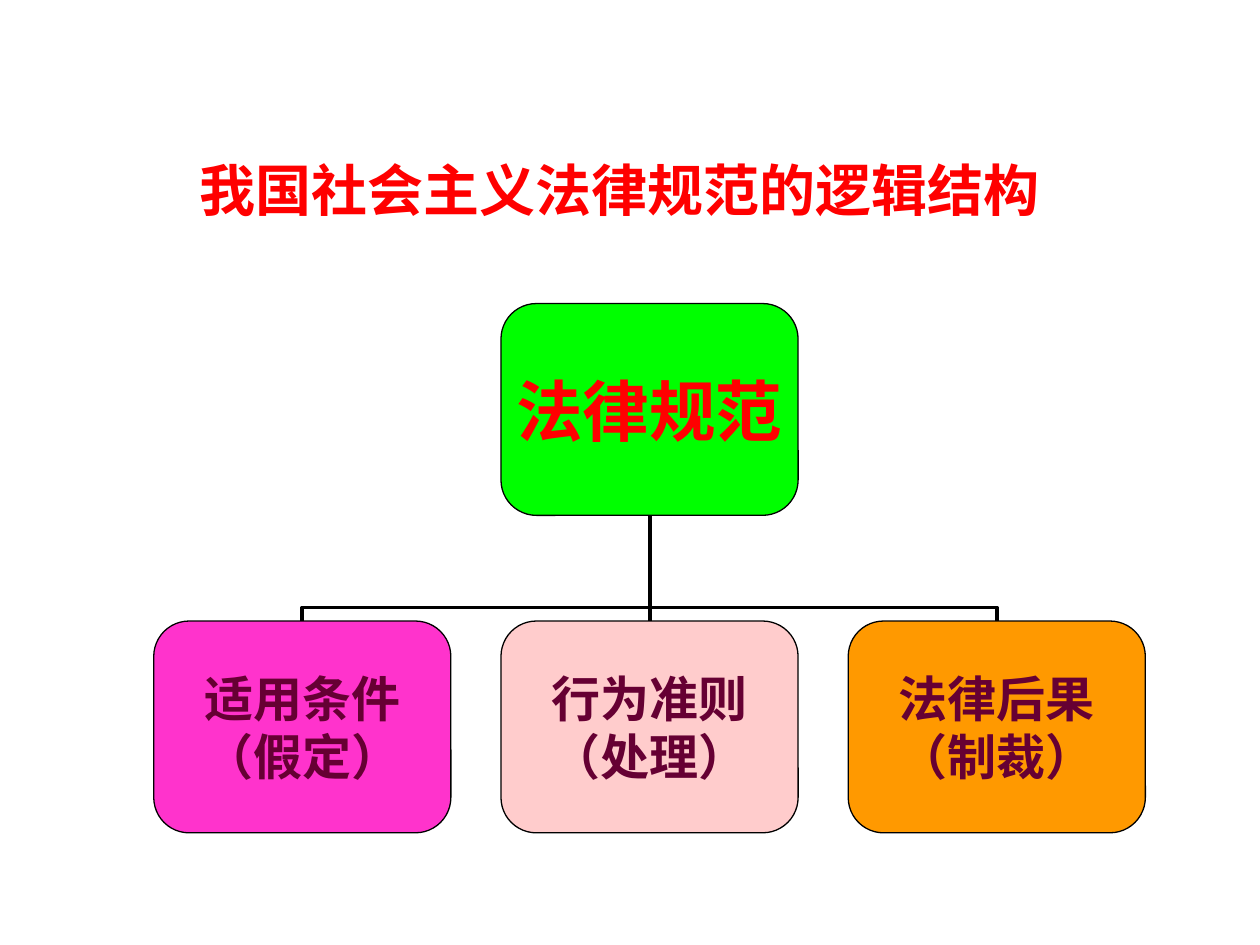
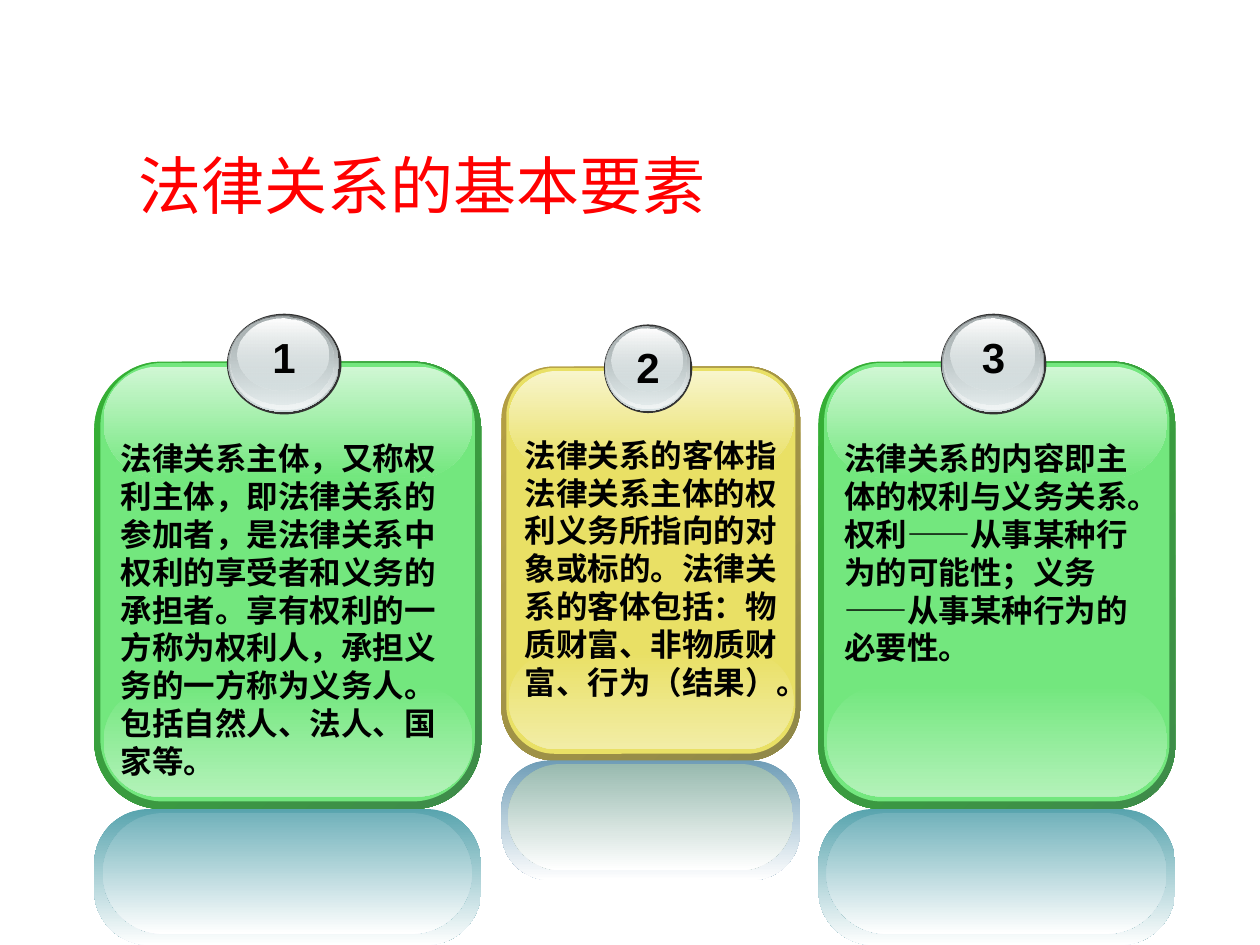
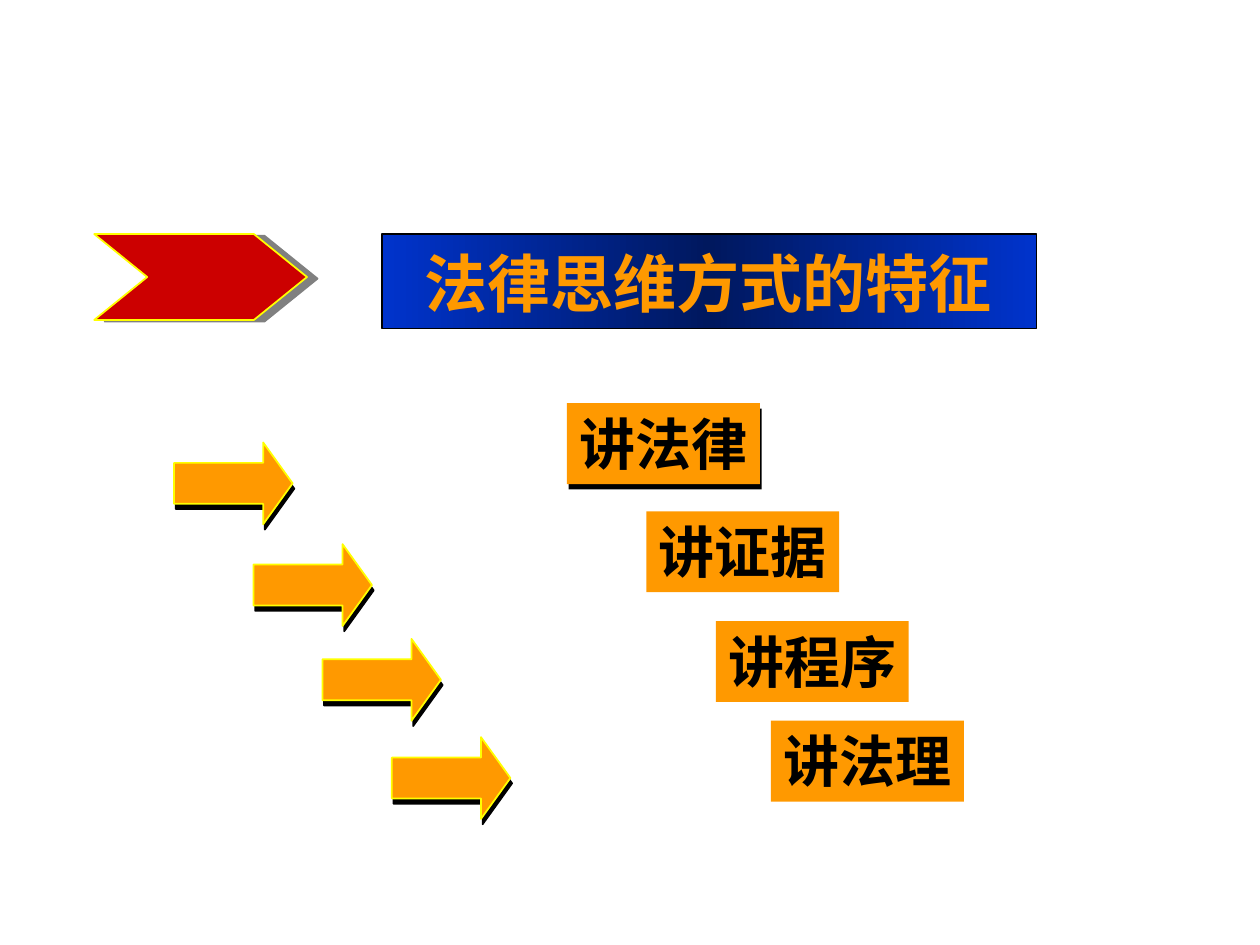
import pptx
import pptx.util
import pptx.oxml
import pptx.oxml.ns
import pptx.dml.color
import pptx.enum.shapes
import pptx.enum.text
from lxml import etree

Cm, Pt = pptx.util.Cm, pptx.util.Pt
RGB = pptx.dml.color.RGBColor
SHAPE = pptx.enum.shapes.MSO_SHAPE
CONNECTOR = pptx.enum.shapes.MSO_CONNECTOR
ALIGN = pptx.enum.text.PP_ALIGN
ANCHOR = pptx.enum.text.MSO_ANCHOR
qn = pptx.oxml.ns.qn

BLACK = RGB(0x00, 0x00, 0x00)
WHITE = RGB(0xFF, 0xFF, 0xFF)
RED = RGB(0xFF, 0x00, 0x00)
DARK_RED = RGB(0xCC, 0x00, 0x00)
ORANGE = RGB(0xFF, 0x99, 0x00)
YELLOW = RGB(0xFF, 0xFF, 0x00)
LIME = RGB(0x00, 0xFF, 0x00)
MAGENTA = RGB(0xFF, 0x33, 0xCC)
PINK = RGB(0xFF, 0xCC, 0xCC)
PLUM = RGB(0x66, 0x00, 0x33)
GRAY = RGB(0x80, 0x80, 0x80)
BLUE = RGB(0x00, 0x33, 0xCC)
NAVY = RGB(0x00, 0x18, 0x5E)
CHARCOAL = RGB(0x33, 0x33, 0x33)
STEEL = RGB(0x63, 0x68, 0x69)
SILVER = RGB(0xD6, 0xE1, 0xE2)
MIST = RGB(0xF1, 0xF5, 0xF5)
ASH = RGB(0xAA, 0xB2, 0xB3)

GREEN_CARD = {
    "edge": (RGB(0x34, 0xB0, 0x34), RGB(0x3F, 0x8B, 0x4A)),
    "face": RGB(0x73, 0xE7, 0x7E),
    "low": RGB(0xB3, 0xF2, 0xB9),
    "high": RGB(0xD0, 0xF7, 0xD4),
    "mirror": (RGB(0x58, 0xA4, 0xAE), RGB(0x72, 0xB2, 0xBB)),
}
GOLD_CARD = {
    "edge": (RGB(0xB5, 0x9F, 0x43), RGB(0x8F, 0x88, 0x49)),
    "face": RGB(0xE9, 0xE0, 0x65),
    "low": RGB(0xF2, 0xED, 0xA6),
    "high": RGB(0xF8, 0xF5, 0xCC),
    "mirror": (RGB(0x6F, 0x9D, 0xB7), RGB(0x98, 0xBA, 0xAF)),
}

NORM_TITLE = "我国社会主义法律规范的逻辑结构"
NORM_ROOT = "法律规范"
NORM_PARTS = [
    ("适用条件\n（假定）", MAGENTA),
    ("行为准则\n（处理）", PINK),
    ("法律后果\n（制裁）", ORANGE),
]

RELATION_TITLE = "法律关系的基本要素"
RELATION_CARDS = [
    ((1.9, 7.29, 7.8, 9.02), GREEN_CARD,
     "法律关系主体，又称权利主体，即法律关系的参加者，是法律关系中权利的享受者和义务的承担者。"
     "享有权利的一方称为权利人，承担义务的一方称为义务人。包括自然人、法人、国家等。"),
    ((10.11, 7.39, 6.02, 7.94), GOLD_CARD,
     "法律关系的客体指法律关系主体的权利义务所指向的对象或标的。"
     "法律关系的客体包括：物质财富、非物质财富、行为（结果）。"),
    ((16.5, 7.29, 7.19, 9.02), GREEN_CARD,
     "法律关系的内容即主体的权利与义务关系。"
     "权利——从事某种行为的可能性；义务——从事某种行为的必要性。"),
]

THINKING_TITLE = "法律思维方式的特征"
THINKING_STEPS = [
    ("讲法律", (3.51, 8.92), (11.43, 8.13)),
    ("讲证据", (5.11, 10.97), (13.03, 10.31)),
    ("讲程序", (6.5, 12.88), (14.43, 12.52)),
    ("讲法理", (7.9, 14.86), (15.54, 14.53)),
]

BALL = (34.3, -10.7, 29.6, 22.5)
BALL_LAYERS = [
    ((0, 0, 100, 100), CHARCOAL),
    ((1.1, 1.2, 96.8, 96.2), [(STEEL, 100), (SILVER, 100)]),
    ((2.2, 1.2, 94.5, 93.7), [(SILVER, 0), (MIST, 100)]),
    ((3.3, 2.5, 90, 87.5), [(ASH, 100), (SILVER, 48)]),
    ((8.8, 5, 80, 71), [(WHITE, 100), (SILVER, 38)]),
]


def within(box, percent):
    x, y, w, h = box
    px, py, pw, ph = percent
    return x + w * px / 100, y + h * py / 100, w * pw / 100, h * ph / 100


def write(tf, text, size, colour, font="Arial", bold=True, align=ALIGN.CENTER):
    tf.text = text
    for p in tf.paragraphs:
        p.alignment = align
        p.font.size = Pt(size)
        p.font.name = font
        p.font.bold = bold
        p.font.color.rgb = colour


def paint_gradient(sp, stops, angle):
    sp.fill.gradient()
    sp.fill.gradient_angle = (360 - angle) % 360
    gs_list = sp._element.spPr.find(".//" + qn("a:gsLst"))
    for gs in list(gs_list):
        gs_list.remove(gs)
    for i, (colour, opacity) in enumerate(stops):
        gs = etree.SubElement(gs_list, qn("a:gs"), pos=str(i * 100000 // (len(stops) - 1)))
        clr = etree.SubElement(gs, qn("a:srgbClr"), val=str(colour))
        if opacity < 100:
            etree.SubElement(clr, qn("a:alpha"), val=str(opacity * 1000))


def draw(s, kind, box, fill, line=None, width=0.75, adjust=None, angle=90):
    sp = s.shapes.add_shape(kind, *map(Cm, box))
    sp.shadow.inherit = False
    if isinstance(fill, list):
        paint_gradient(sp, fill, angle)
    else:
        sp.fill.solid()
        sp.fill.fore_color.rgb = fill
    if line is None:
        sp.line.fill.background()
    else:
        sp.line.color.rgb = line
        sp.line.width = Pt(width)
    if adjust is not None:
        sp.adjustments[0] = adjust / 100
    return sp


def drop_shadow(sp, colour, distance, direction):
    effects = sp._element.spPr.find(qn("a:effectLst"))
    shadow = etree.SubElement(effects, qn("a:outerShdw"), blurRad="0", dist=str(Pt(distance)),
                              dir=str(direction * 60000), algn="ctr", rotWithShape="0")
    etree.SubElement(shadow, qn("a:srgbClr"), val=str(colour))


def add_text(s, box, text, size, wrap, align):
    tf = s.shapes.add_textbox(*map(Cm, box)).text_frame
    tf.word_wrap = wrap
    write(tf, text, size, BLACK, align=align)


def titled_slide(prs, text, box, size, colour, bold=True, align=ALIGN.CENTER):
    s = prs.slides.add_slide(prs.slide_layouts[5])
    title = s.shapes.title
    title.left, title.top, title.width, title.height = map(Cm, box)
    tf = title.text_frame
    tf.auto_size = pptx.enum.text.MSO_AUTO_SIZE.NONE
    tf.vertical_anchor = ANCHOR.MIDDLE
    write(tf, text, size, colour, bold=bold, align=align)
    return s


def add_branch(s, child, root):
    (cx, cy), (rx, ry) = child, root
    mx, my = (cx + rx) / 2, (cy + ry) / 2
    half_drop, half_span = (cy - ry) / 2, abs(cx - rx) / 2
    if half_span < 0.01:
        c = s.shapes.add_connector(CONNECTOR.STRAIGHT, Cm(cx), Cm(cy), Cm(rx), Cm(ry))
    else:
        side = 1 if cx > rx else -1
        c = s.shapes.add_connector(
            CONNECTOR.ELBOW, Cm(mx - side * half_drop), Cm(my + half_span),
            Cm(mx + side * half_drop), Cm(my - half_span))
        c._element.spPr.find(qn("a:xfrm")).set("rot", str((180 + side * 90) * 60000))
        guides = c._element.spPr.find(".//" + qn("a:avLst"))
        etree.SubElement(guides, qn("a:gd"), name="adj1", fmla="val 12800")
    c.line.color.rgb = BLACK
    c.line.width = Pt(2.25)
    etree.SubElement(c._element.spPr, qn("a:effectLst"))


def add_node(s, x, y, w, h, text, size, fill, colour):
    sp = draw(s, SHAPE.ROUNDED_RECTANGLE, (x, y, w, h), fill, BLACK, adjust=16.7)
    tf = sp.text_frame
    tf.word_wrap = False
    tf.vertical_anchor = ANCHOR.MIDDLE
    tf.margin_left = tf.margin_right = tf.margin_top = tf.margin_bottom = 0
    write(tf, text, size, colour, "Times New Roman")


def norm_slide(prs):
    s = titled_slide(prs, NORM_TITLE, (3.1, 2.92, 18.8, 1.8), 32, RED)
    w, h, left, pitch, root_y, part_y = 5.99, 4.27, 3.1, 7, 6.12, 12.52
    xs = [left + pitch * i for i in range(len(NORM_PARTS))]
    root_x = xs[1]
    for x in reversed(xs):
        add_branch(s, (x + w / 2, part_y), (root_x + w / 2, root_y + h))
    add_node(s, root_x, root_y, w, h, NORM_ROOT, 38, LIME, RED)
    for x, (text, fill) in zip(xs, NORM_PARTS):
        add_node(s, x, part_y, w, h, text, 28, fill, PLUM)


def add_card(s, number, box, look, text):
    def panel(percent, adjust, *colours, angle=90):
        fill = [(c, 100) for c in colours] if len(colours) > 1 else colours[0]
        draw(s, SHAPE.ROUNDED_RECTANGLE, within(box, percent), fill, adjust=adjust, angle=angle)

    panel((0, 0, 100, 100), 17.6, *look["edge"], angle=45)
    panel((1.6, 0.3, 96.8, 98), 16.7, look["face"])
    panel((2.4, 72.4, 95.4, 24.8), 50, look["face"], look["low"])
    panel((2.4, 1.1, 95.4, 24.8), 50, look["high"], look["face"])
    ball = within(box, BALL)
    for percent, fill in BALL_LAYERS:
        draw(s, SHAPE.OVAL, within(ball, percent), fill)
    x, y, w, h = box
    number_w = 0.96
    add_text(s, (x + w * 0.49 - number_w / 2, y - h * 0.08, number_w, 1.28),
             str(number), 24, False, ALIGN.CENTER)
    add_text(s, within(box, (3.7, 16, 95, 78)), text, 18, True, ALIGN.LEFT)
    outer, inner = look["mirror"]
    panel((0, 100, 100, 30.4), 40.4, outer, WHITE)
    panel((2.2, 100.9, 95.4, 27), 50, inner, WHITE)


def relation_slide(prs):
    s = titled_slide(prs, RELATION_TITLE, (1.5, 2.72, 14, 2), 36, RED, bold=False)
    for number, card in enumerate(RELATION_CARDS, 1):
        add_card(s, number, *card)


def thinking_slide(prs):
    s = titled_slide(prs, THINKING_TITLE, (8.31, 4.52, 12.4, 2.36), 36, ORANGE, align=ALIGN.LEFT)
    draw(s, SHAPE.RECTANGLE, (7.7, 4.72, 13.2, 1.9),
         [(BLUE, 100), (NAVY, 100), (BLUE, 100)], BLACK, angle=0)
    chevron = draw(s, SHAPE.CHEVRON, (1.9, 4.72, 4.29, 1.73), DARK_RED, YELLOW, 1, 61.8)
    drop_shadow(chevron, GRAY, 6.1, 9)
    for i, (text, arrow_at, label_at) in enumerate(THINKING_STEPS):
        arrow = draw(s, SHAPE.RIGHT_ARROW, (*arrow_at, 2.39, 1.65), ORANGE, YELLOW, 1)
        arrow.adjustments[1] = 0.36
        drop_shadow(arrow, BLACK, 3.2, 72)
        label = draw(s, SHAPE.RECTANGLE, (*label_at, 3.89, 1.63), ORANGE)
        if i == 0:
            drop_shadow(label, BLACK, 3.2, 72)
        label.text_frame.word_wrap = False
        label.text_frame.vertical_anchor = ANCHOR.TOP
        write(label.text_frame, text, 32, BLACK, "Noto Sans CJK SC")
    s.shapes._spTree.append(s.shapes.title._element)


def main():
    prs = pptx.Presentation()
    prs.slide_width, prs.slide_height = Cm(25.4), Cm(19.05)
    norm_slide(prs)
    relation_slide(prs)
    thinking_slide(prs)
    prs.save("out.pptx")


if __name__ == "__main__":
    main()
